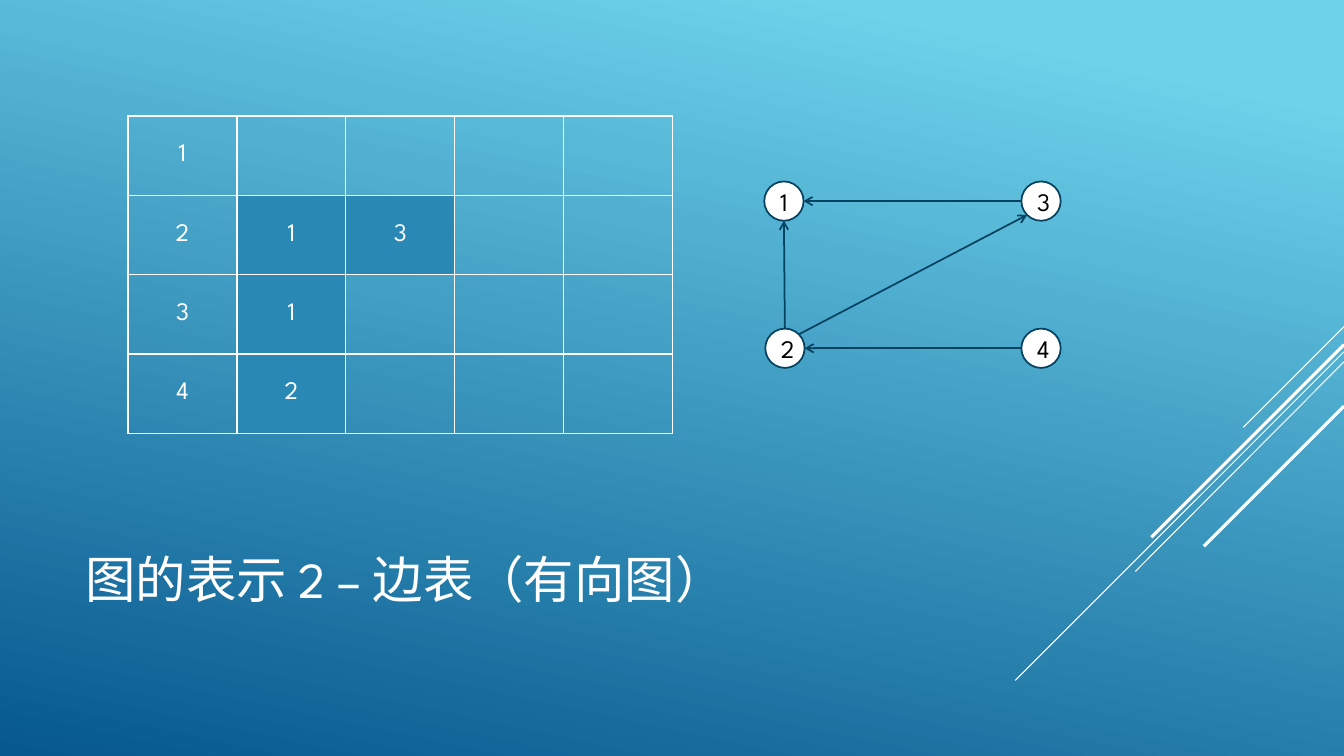
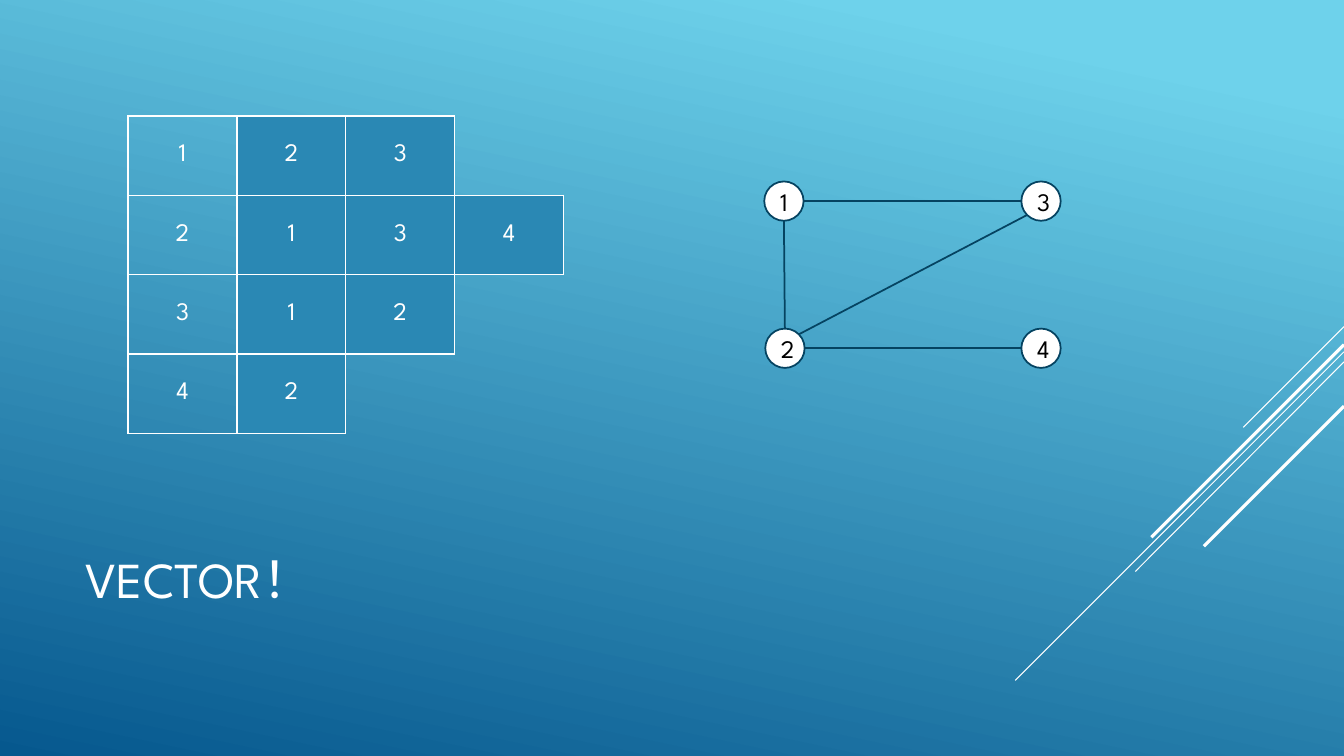
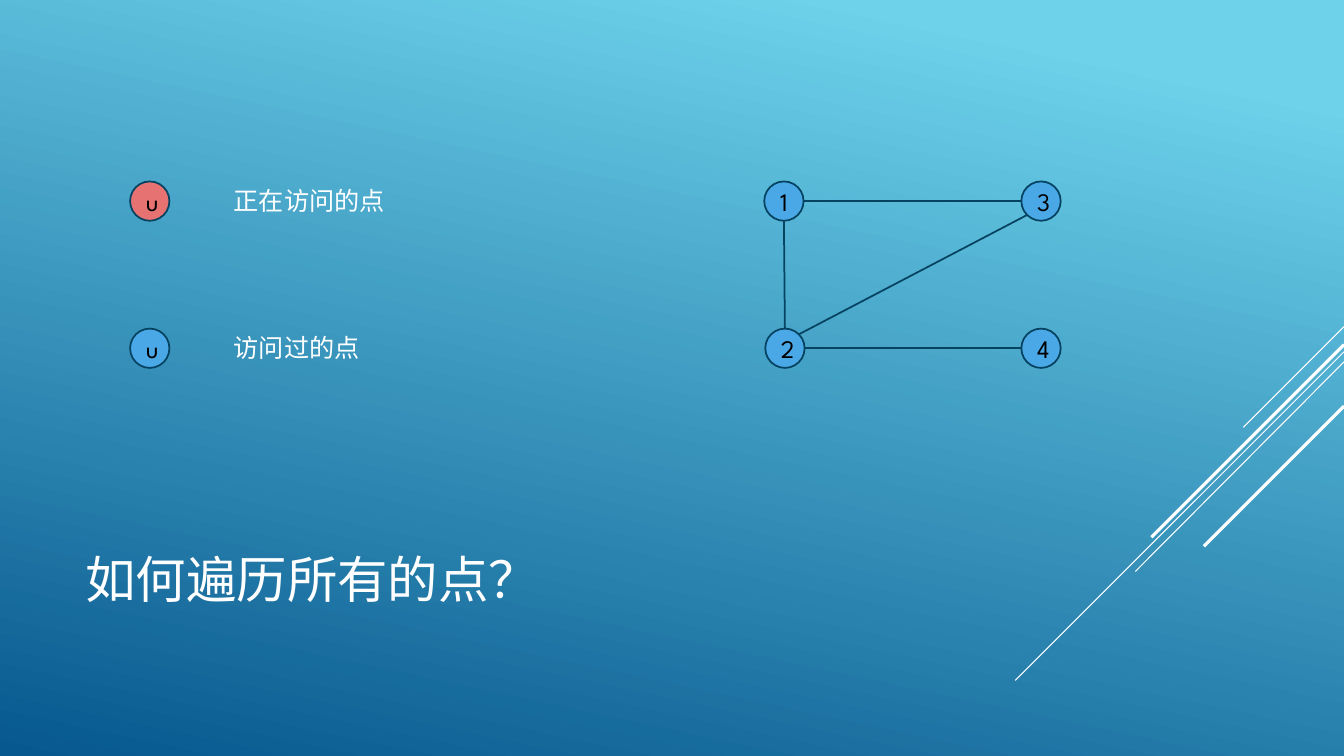
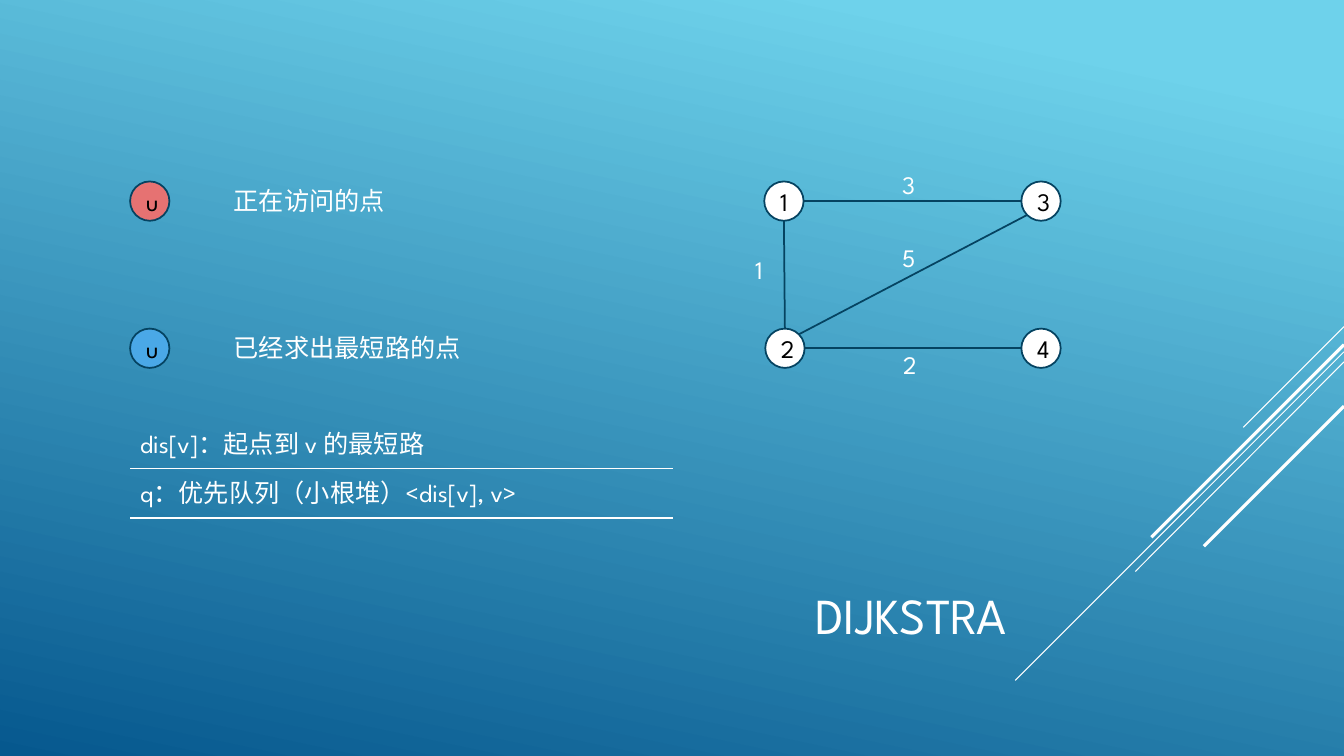
"""Four slides on graph storage and traversal."""
from dataclasses import dataclass
from math import cos, radians, sin

from lxml.etree import SubElement
from pptx import Presentation
from pptx.dml.color import RGBColor as RGB
from pptx.enum.shapes import MSO_CONNECTOR as CONN, MSO_SHAPE as SHAPE
from pptx.enum.text import MSO_ANCHOR as ANCHOR, PP_ALIGN as ALIGN
from pptx.oxml.ns import qn
from pptx.util import Inches, Pt


@dataclass(frozen=True)
class Theme:
    """Colours, font and type sizes of the deck."""
    font: str = "League Spartan"
    title: int = 36
    body: int = 18
    white: str = "FFFFFF"
    black: str = "000000"
    edge: str = "054361"
    cell: str = "2A88B4"
    current: str = "E67272"
    visited: str = "4AA8E7"
    sky: str = "6ED2EB"
    deep: str = "06588E"


T = Theme()
DOT = 0.39
DOT_TOPS = (1.8, 3.26)
NODES = {"1": (7.58, 1.8), "2": (7.59, 3.26), "3": (10.13, 1.8), "4": (10.13, 3.26)}
EDGES = [("3", 180, "1", 0), ("2", 270, "1", 90), ("2", 315, "3", 135), ("4", 180, "2", 0)]
RAYS = [((13.33, 3.24), (12.33, 4.24), 0.75), ((13.33, 3.49), (10.07, 6.75), 0.75),
        ((13.33, 3.59), (11.26, 5.67), 0.75), ((13.33, 3.42), (11.42, 5.33), 2.25),
        ((13.33, 4.03), (11.94, 5.42), 2.25)]
WEIGHTS = [("5", 8.85, 2.36), ("3", 8.85, 1.63), ("1", 7.39, 2.47), ("2", 8.86, 3.42)]
GRID = (1.27, 1.15, 5.4, 3.15)
NEIGHBOURS = {"L": (0, -1), "R": (0, 1), "T": (-1, 0), "B": (1, 0)}


def write(tf, text, color=T.white, size=T.body, align=ALIGN.LEFT):
    """Put one styled run into a text frame."""
    p = tf.paragraphs[0]
    p.alignment = align
    r = p.add_run()
    r.text = text
    r.font.name, r.font.size = T.font, Pt(size)
    r.font.bold = False
    r.font.color.rgb = RGB.from_string(color)


def add_text(shapes, at, text, anchor=ANCHOR.TOP, **style):
    """Add a wrapping text box."""
    tf = shapes.add_textbox(*map(Inches, at)).text_frame
    tf.word_wrap = True
    tf.vertical_anchor = anchor
    write(tf, text, **style)


def add_line(shapes, start, end, color, width, arrow=False):
    """Add a straight line, with an arrowhead at its end if wanted."""
    c = shapes.add_connector(CONN.STRAIGHT, *map(Inches, start + end))
    c.line.color.rgb = RGB.from_string(color)
    c.line.width = Pt(width)
    spPr = c.element.spPr
    if arrow:
        SubElement(spPr.find(qn("a:ln")), qn("a:tailEnd"), type="arrow")
    SubElement(spPr, qn("a:effectLst"))


def add_dot(shapes, at, text, fill):
    """Add a round labelled node."""
    sp = shapes.add_shape(SHAPE.OVAL, *map(Inches, at + (DOT, DOT)))
    sp.shadow.inherit = False
    sp.fill.solid()
    sp.fill.fore_color.rgb = RGB.from_string(fill)
    sp.line.color.rgb = RGB.from_string(T.edge)
    sp.line.width = Pt(1.25)
    write(sp.text_frame, text, T.black, align=ALIGN.CENTER)


def rim(node, angle):
    """Return the point on a node's rim, with angles running clockwise."""
    x, y = NODES[node]
    a = radians(angle)
    return x + DOT / 2 * (1 + cos(a)), y + DOT / 2 * (1 + sin(a))


def add_graph(s, fill=T.white, directed=False, weights=()):
    """Add the four-node example graph as a group."""
    shapes = s.shapes.add_group_shape().shapes
    for name, at in NODES.items():
        add_dot(shapes, at, name, fill)
    for a, a_angle, b, b_angle in EDGES:
        add_line(shapes, rim(a, a_angle), rim(b, b_angle), T.edge, 1.25, directed)
    for text, x, y in weights:
        add_text(shapes, (x, y, DOT, 0.4), text)


def set_borders(cell, sides):
    """Draw the named sides of a cell and clear the others."""
    tcPr = cell._tc.get_or_add_tcPr()
    for side in NEIGHBOURS:
        ln = SubElement(tcPr, qn(f"a:ln{side}"), w=str(Pt(1)))
        if side in sides:
            SubElement(SubElement(ln, qn("a:solidFill")), qn("a:srgbClr"), val=T.white)
        else:
            SubElement(ln, qn("a:noFill"))


def grid_sides(rows, i, j):
    """Name the sides where a cell or its neighbour is present."""
    def present(r, c):
        """Tell whether a cell lies in the table and is not None."""
        return 0 <= r < len(rows) and 0 <= c < len(rows[0]) and rows[r][c] is not None
    return [k for k, (di, dj) in NEIGHBOURS.items() if present(i, j) or present(i + di, j + dj)]


def ruled_sides(rows, i, j):
    """Name the sides that make a rule under every row."""
    return "TB" if i else "B"


def add_table(s, at, rows, sides=grid_sides, align=ALIGN.CENTER, anchor=ANCHOR.MIDDLE):
    """Add a table whose entries after the first column are filled."""
    table = s.shapes.add_table(len(rows), len(rows[0]), *map(Inches, at)).table
    table.first_row = table.horz_banding = False
    for i, row in enumerate(rows):
        for j, text in enumerate(row):
            cell = table.cell(i, j)
            cell.vertical_anchor = anchor
            set_borders(cell, sides(rows, i, j))
            if text and j:
                cell.fill.solid()
                cell.fill.fore_color.rgb = RGB.from_string(T.cell)
            else:
                cell.fill.background()
            if text:
                write(cell.text_frame, text, align=align)


def add_legend(s, entries):
    """Add the key to the node colours."""
    for y, (fill, text, width) in zip(DOT_TOPS, entries):
        add_dot(s.shapes, (1.29, y), "u", fill)
        add_text(s.shapes, (2.22, y - 0.01, width, 0.4), text)


def set_background(prs):
    """Give the master its slanted gradient."""
    fill = prs.slide_master.background.fill
    fill.gradient()
    fill.gradient_angle = 360 - 102
    for stop, color, pos in zip(fill.gradient_stops, (T.sky, T.deep), (0.1, 1)):
        stop.color.rgb = RGB.from_string(color)
        stop.position = pos


def new_slide(prs, title, top=4.91, height=1.65, align=ALIGN.LEFT):
    """Add a blank slide with the slanted rays and a title."""
    s = prs.slides.add_slide(prs.slide_layouts[6])
    rays = s.shapes.add_group_shape().shapes
    for start, end, width in RAYS:
        add_line(rays, start, end, T.white, width)
    add_text(s.shapes, (0.75, top, 9.33, height), title, ANCHOR.MIDDLE,
             size=T.title, align=align)
    return s


def main():
    """Build and save the deck."""
    prs = Presentation()
    prs.slide_width, prs.slide_height = Inches(13.33), Inches(7.5)
    set_background(prs)

    s = new_slide(prs, "图的表示 2 – 边表（有向图）")
    add_graph(s, directed=True)
    add_table(s, GRID, [["1", "", "", "", ""], ["2", "1", "3", "", ""],
                        ["3", "1", "", "", ""], ["4", "2", "", "", ""]])

    s = new_slide(prs, "VECTOR！")
    add_table(s, GRID, [["1", "2", "3", None, None], ["2", "1", "3", "4", None],
                        ["3", "1", "2", None, None], ["4", "2", None, None, None]])
    add_graph(s)

    s = new_slide(prs, "如何遍历所有的点？")
    add_graph(s, fill=T.visited)
    add_legend(s, [(T.current, "正在访问的点", 1.77), (T.visited, "访问过的点", 1.77)])

    s = new_slide(prs, "DIJKSTRA", top=5.63, height=0.92, align=ALIGN.RIGHT)
    add_graph(s, weights=WEIGHTS)
    add_legend(s, [(T.current, "正在访问的点", 1.77), (T.visited, "已经求出最短路的点", 2.72)])
    add_table(s, (1.29, 4.16, 5.38, 0.98),
              [["dis[v]：起点到 v 的最短路"], ["q：优先队列（小根堆）<dis[v], v>"]],
              ruled_sides, ALIGN.LEFT, ANCHOR.TOP)

    prs.save("out.pptx")


if __name__ == "__main__":
    main()
